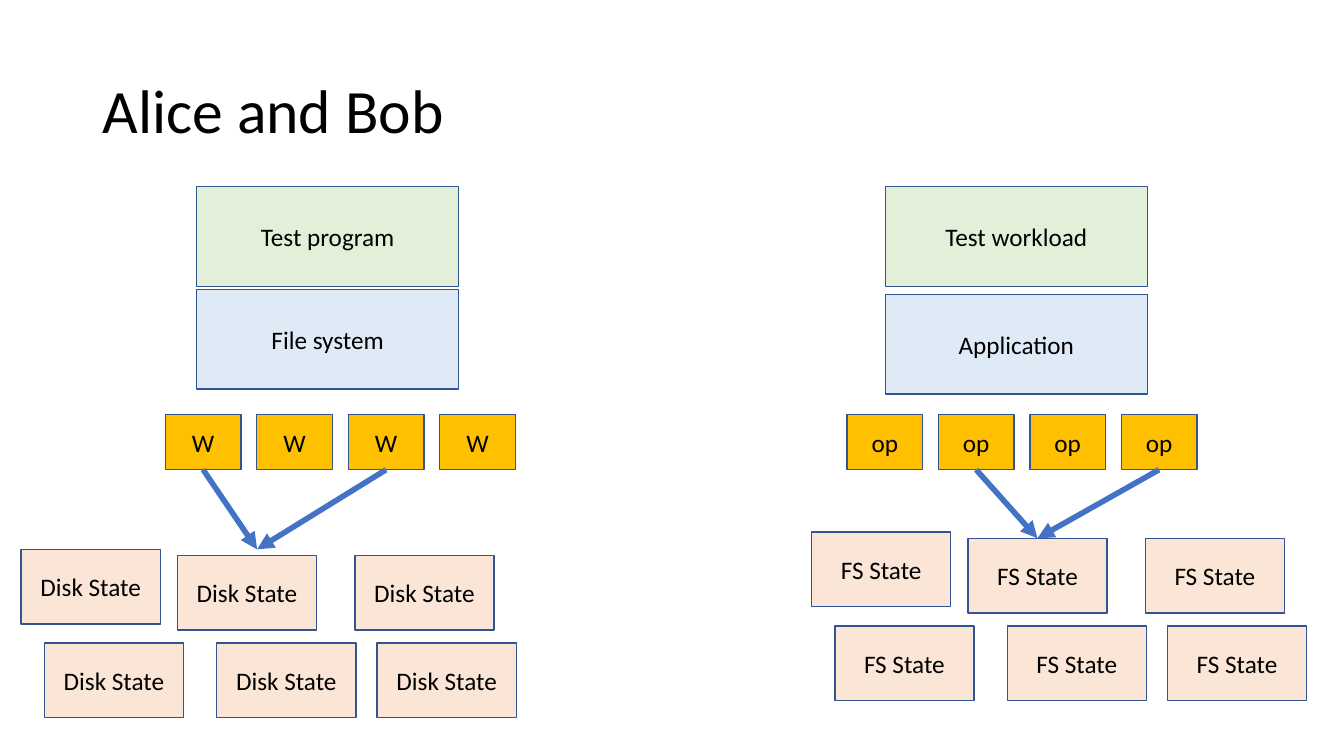
from lxml.etree import SubElement
from pptx import Presentation
from pptx.dml.color import RGBColor
from pptx.enum.shapes import MSO_CONNECTOR as Connector, MSO_SHAPE as Shape
from pptx.enum.text import MSO_ANCHOR as Anchor, PP_ALIGN as Align
from pptx.oxml.ns import qn
from pptx.util import Inches, Pt

# Content: one dict per diagram, lengths in inches
TITLE = "Alice and Bob"
DIAGRAMS = [
    {"driver": "Test program", "target": "File system",
     "stack_left": 1.95, "target_top": 2.87,
     "step": "W", "steps_left": 1.64, "arrows_from": (0, 2),
     "arrow_tip": (2.55, 5.45),
     "state": "Disk State", "states_at": (0.21, 5.45)},
    {"driver": "Test workload", "target": "Application",
     "stack_left": 8.78, "target_top": 2.92,
     "step": "op", "steps_left": 8.4, "arrows_from": (1, 3),
     "arrow_tip": (10.29, 5.34),
     "state": "FS State", "states_at": (8.05, 5.28)},
]

# Layout shared by both diagrams
FONT = "Calibri"
DRIVER_TOP = 1.85
STACK_SIZE = (2.6, 0.99)
STEP_COUNT, STEP_TOP, STEP_PITCH = 4, 4.11, 0.907
STEP_SIZE = (0.75, 0.55)
STATE_SIZE = (1.38, 0.74)
STATE_OFFSETS = [(0, 0), (1.55, 0.06), (3.31, 0.06),
                 (0.23, 0.93), (1.94, 0.93), (3.53, 0.93)]

# Colours
BLACK = RGBColor(0x00, 0x00, 0x00)
OUTLINE = RGBColor(0x32, 0x54, 0x91)
ARROW = RGBColor(0x44, 0x72, 0xC4)
GREEN = RGBColor(0xE2, 0xF0, 0xD9)
BLUE = RGBColor(0xDE, 0xEB, 0xF7)
GOLD = RGBColor(0xFF, 0xC0, 0x00)
PEACH = RGBColor(0xFB, 0xE5, 0xD6)


def write(shape, text, size):
    shape.text_frame.word_wrap = True
    shape.text_frame.vertical_anchor = Anchor.MIDDLE
    para = shape.text_frame.paragraphs[0]
    para.text = text
    para.font.name = FONT
    para.font.size = Pt(size)
    para.font.color.rgb = BLACK
    return para


def add_box(page, text, left, top, size, fill):
    box = page.shapes.add_shape(Shape.RECTANGLE, Inches(left), Inches(top),
                                *map(Inches, size))
    box.shadow.inherit = False
    box.fill.solid()
    box.fill.fore_color.rgb = fill
    box.line.color.rgb = OUTLINE
    box.line.width = Pt(1)
    write(box, text, 18).alignment = Align.CENTER


def add_arrow(page, start, tip):
    arrow = page.shapes.add_connector(Connector.STRAIGHT,
                                      *map(Inches, start + tip))
    arrow.line.color.rgb = ARROW
    arrow.line.width = Pt(4)
    SubElement(arrow.line._get_or_add_ln(), qn("a:tailEnd"), type="triangle")
    SubElement(arrow._element.spPr, qn("a:effectLst"))


def add_diagram(page, diagram):
    # Program stack
    left = diagram["stack_left"]
    add_box(page, diagram["target"], left, diagram["target_top"], STACK_SIZE, BLUE)
    add_box(page, diagram["driver"], left, DRIVER_TOP, STACK_SIZE, GREEN)

    # Row of operations
    step_lefts = [diagram["steps_left"] + i * STEP_PITCH for i in range(STEP_COUNT)]
    for left in step_lefts:
        add_box(page, diagram["step"], left, STEP_TOP, STEP_SIZE, GOLD)

    # Possible states
    states_left, states_top = diagram["states_at"]
    for dx, dy in STATE_OFFSETS:
        add_box(page, diagram["state"], states_left + dx, states_top + dy,
                STATE_SIZE, PEACH)

    # Arrows from the chosen operations to one state
    width, height = STEP_SIZE
    for i in diagram["arrows_from"]:
        start = (step_lefts[i] + width / 2, STEP_TOP + height)
        add_arrow(page, start, diagram["arrow_tip"])


def main():
    deck = Presentation()
    deck.slide_width, deck.slide_height = Inches(13.33), Inches(7.5)
    page = deck.slides.add_slide(deck.slide_layouts[6])

    title = page.shapes.add_textbox(Inches(0.92), Inches(0.4),
                                    Inches(11.5), Inches(1.45))
    write(title, TITLE, 44).line_spacing = 0.9
    for diagram in DIAGRAMS:
        add_diagram(page, diagram)
    deck.save("out.pptx")


if __name__ == "__main__":
    main()
